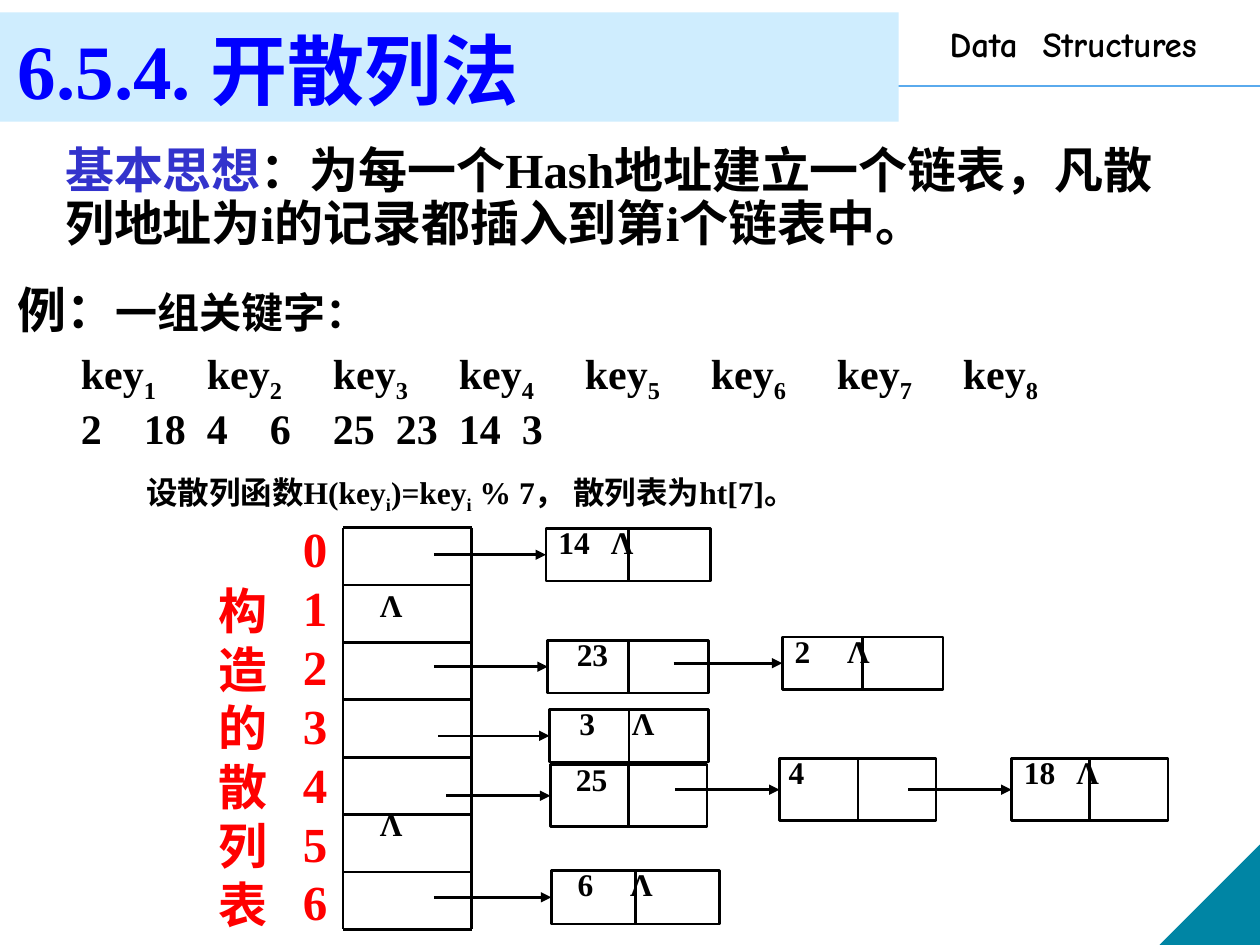
from lxml.etree import SubElement
from pptx import Presentation
from pptx.dml.color import RGBColor
from pptx.enum.shapes import MSO_CONNECTOR, MSO_SHAPE
from pptx.enum.text import MSO_ANCHOR, PP_ALIGN
from pptx.oxml.ns import qn
from pptx.util import Pt

COLORS = {
    "black": "000000", "white": "FFFFFF", "blue": "0000FF", "indigo": "3333CC",
    "red": "FF0000", "band": "CFEDFE", "rule": "5AAAED", "corner": "0085A4",
}
SERIF = "Times New Roman"
NIL = "Λ"
KEYS = [2, 18, 4, 6, 25, 23, 14, 3]
BUCKETS = 7
EMPTY_BUCKETS = {1: 0, 5: -6}  # bucket: vertical shift of its nil mark

# Each chain lists (label, box, label shift, arrow start x)
CHAINS = [
    [(f"14\t{NIL}", (312, 302, 94, 30), 0, 248)],
    [("23", (313, 366, 92, 30), 9.5, 248),
     (f"2\t{NIL}", (447, 364, 92, 30), 0, 385)],
    [(f"3\t{NIL}", (314, 405.5, 91, 30), 10, 250.5)],
    [("25", (314.5, 437, 89.5, 35.5), 7.5, 255),
     ("4", (445.5, 433.5, 89.5, 35.5), -2, 386),
     (f"18\t{NIL}", (578, 433.5, 89.5, 35.5), 0, 519)],
    [(f"6\t{NIL}", (315, 497.5, 96, 30.5), 8, 248)],
]


def rgb(name):
    return RGBColor.from_string(COLORS[name])


def style(run, size, color="black", font=SERIF, baseline=None):
    run.font.size = Pt(size)
    run.font.name = font
    run.font.bold = True
    run.font.color.rgb = rgb(color)
    if baseline:
        run.font._element.set("baseline", str(baseline))


def add_runs(paragraph, pieces, size):
    """Append (text, is_subscript) pieces to a paragraph."""
    for text, subscript in pieces:
        run = paragraph.add_run()
        run.text = text
        style(run, size, baseline=-25000 if subscript else None)


def set_tabs(paragraph, stops):
    tabs = SubElement(paragraph._p.get_or_add_pPr(), qn("a:tabLst"))
    for stop in stops:
        SubElement(tabs, qn("a:tab"), pos=str(Pt(stop)), algn="l")


def plain(paragraph, margin=0, before=0):
    """Remove the bullet and set indent and spacing of a body paragraph."""
    paragraph.alignment = PP_ALIGN.LEFT
    paragraph.line_spacing = 0.9
    paragraph.space_before = Pt(before)
    properties = paragraph._p.get_or_add_pPr()
    properties.set("marL", str(Pt(margin)))
    properties.set("indent", "0")
    SubElement(properties, qn("a:buNone"))


def place(shape, left, top, width, height):
    shape.left, shape.top = Pt(left), Pt(top)
    shape.width, shape.height = Pt(width), Pt(height)


def add_text(slide, box, text, size, color="black", font=SERIF, wrap=True):
    label = slide.shapes.add_textbox(*map(Pt, box))
    frame = label.text_frame
    frame.word_wrap = wrap
    frame.text = text
    for paragraph in frame.paragraphs:
        for run in paragraph.runs:
            style(run, size, color, font)
    return frame


def add_box(slide, kind, box, fill, line=None, width=1.5):
    shape = slide.shapes.add_shape(kind, *map(Pt, box))
    shape.shadow.inherit = False
    shape.fill.solid()
    shape.fill.fore_color.rgb = rgb(fill)
    if line:
        shape.line.color.rgb = rgb(line)
        shape.line.width = Pt(width)
    else:
        shape.line.fill.background()
    return shape


def add_line(slide, start, end, color="black", width=1.5, arrow=False):
    line = slide.shapes.add_connector(MSO_CONNECTOR.STRAIGHT, *map(Pt, (*start, *end)))
    line.line.color.rgb = rgb(color)
    line.line.width = Pt(width)
    if arrow:
        SubElement(line.line._get_or_add_ln(), qn("a:tailEnd"), type="triangle")
    SubElement(line._element.spPr, qn("a:effectLst"))
    return line


def build_frame(slide):
    """Header rule, course name, title band and corner triangle."""
    add_line(slide, (0, 49), (720, 49), "rule", 1)
    corner = add_box(slide, MSO_SHAPE.RIGHT_TRIANGLE, (663, 483, 57, 57), "corner", "corner", 0.75)
    corner._element.spPr.xfrm.set("flipH", "1")
    add_text(slide, (535.5, 9.5, 187, 31), "Data  Structures", 20, font="Comic Neue")
    add_box(slide, MSO_SHAPE.RECTANGLE, (0, 7, 513.5, 62.5), "band")


def build_title(slide, box):
    title = slide.shapes.title
    place(title, *box)
    slide.shapes._spTree.append(title._element)  # in front of the band
    frame = title.text_frame
    frame.text = "6.5.4. 开散列法"
    frame.vertical_anchor = MSO_ANCHOR.TOP
    plain(frame.paragraphs[0])
    style(frame.paragraphs[0].runs[0], 44, "blue")


def build_body(slide, box):
    body = slide.placeholders[1]
    place(body, *box)
    frame = body.text_frame
    frame.vertical_anchor = MSO_ANCHOR.TOP
    idea = frame.paragraphs[0]
    example, names, values = (frame.add_paragraph() for _ in range(3))

    plain(idea, margin=27)
    add_runs(idea, [("基本思想", False),
                    ("：为每一个Hash地址建立一个链表，凡散列地址为i的记录都插入到第i个链表中。", False)], 28)
    idea.runs[0].font.color.rgb = rgb("indigo")

    plain(example, before=19.5)
    add_runs(example, [("例：", False)], 28)
    add_runs(example, [("一组关键字：", False)], 24)

    for paragraph, first_stop in ((names, 42.5), (values, 48)):
        plain(paragraph, before=5)
        set_tabs(paragraph, [first_stop + 55 * i for i in range(len(KEYS))])
    for number, key in enumerate(KEYS, 1):
        add_runs(names, [("\tkey", False), (str(number), True)], 24)
        add_runs(values, [(f"\t{key}", False)], 24)


def build_hash_function(slide, box):
    frame = add_text(slide, box, "", 18, wrap=False)
    add_runs(frame.paragraphs[0], [
        ("设散列函数H(key", False), ("i", True), (")=key", False), ("i", True),
        (" % 7， 散列表为ht[7]。", False)], 18)


def build_buckets(slide, left, top, width, row):
    """Bucket column with its indices and side caption."""
    right, bottom = left + width, top + row * BUCKETS
    add_text(slide, (left - 30, top - 8.5, 61, 229),
             "\n".join(map(str, range(BUCKETS))), 28, "red")
    for i in range(BUCKETS + 1):
        add_line(slide, (left, top + row * i), (right, top + row * i))
    for x in (left, right):
        add_line(slide, (x, top), (x, bottom))
    for bucket, shift in EMPTY_BUCKETS.items():
        add_text(slide, (left + 14, top + row * bucket - 3 + shift, 44, 49), NIL, 18)
    add_text(slide, (left - 78, top + 26.5, 41, 209), "构造的散列表", 28, "red")


def build_node(slide, label, box, shift, arrow_start):
    """List node: two cells, a label and the arrow that leads to it."""
    left, top, width, height = box
    middle = left + width / 2
    node = add_box(slide, MSO_SHAPE.RECTANGLE, box, "white", "black")
    add_line(slide, (middle, top), (middle, top + height))
    frame = add_text(slide, (left + shift, top - 6.5, 110, 45), label, 18)
    set_tabs(frame.paragraphs[0], [30])
    y = top + height / 2
    add_line(slide, (arrow_start, y), (left, y), arrow=True).end_connect(node, 1)


def main():
    deck = Presentation()
    deck.slide_width, deck.slide_height = Pt(720), Pt(540)
    slide = deck.slides.add_slide(deck.slide_layouts[1])
    build_frame(slide)
    build_title(slide, (3, 15, 510, 54))
    build_body(slide, (3, 80, 670, 188))
    build_hash_function(slide, (76.5, 266.5, 510, 36))
    build_buckets(slide, 196, 301.5, 73.5, 32.8)
    for chain in CHAINS:
        for node in chain:
            build_node(slide, *node)
    deck.save("out.pptx")


if __name__ == "__main__":
    main()
